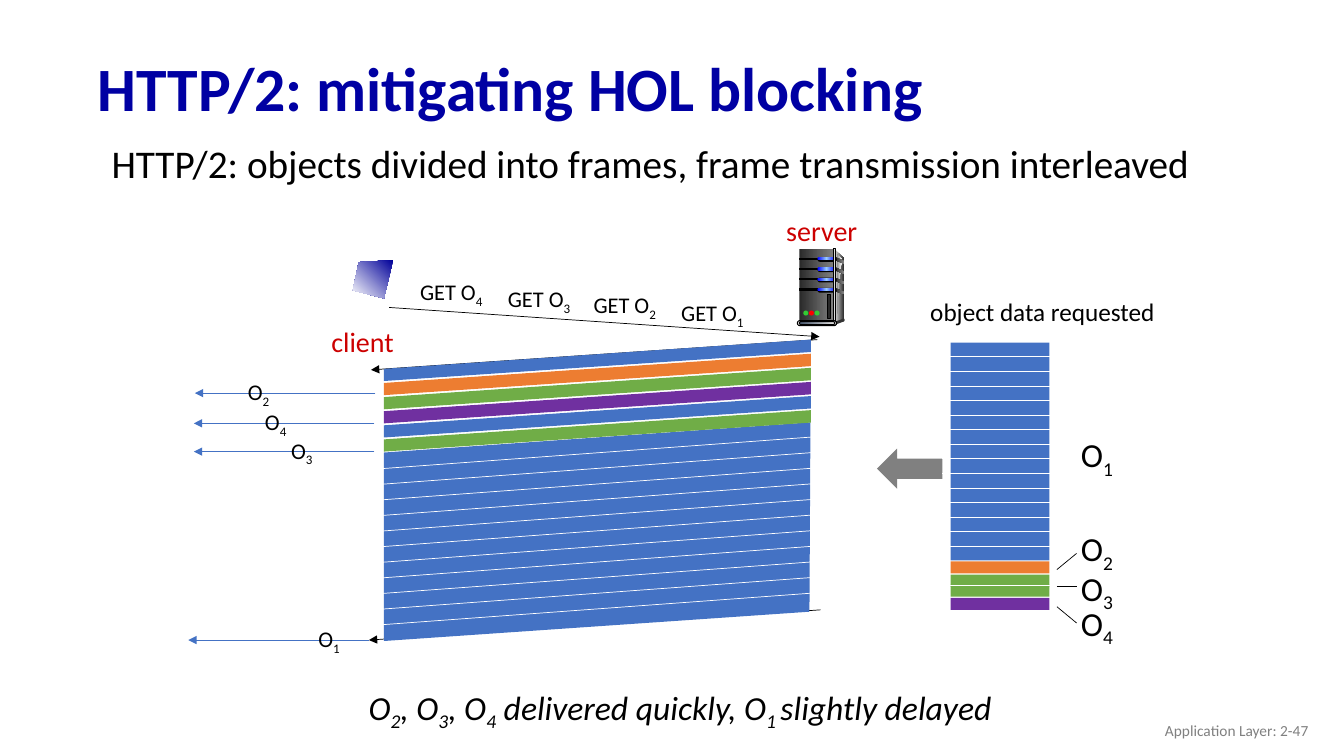
from copy import deepcopy

from lxml.etree import SubElement
from pptx import Presentation
from pptx.dml.color import RGBColor
from pptx.enum.shapes import MSO_CONNECTOR, MSO_SHAPE
from pptx.enum.text import MSO_ANCHOR, PP_ALIGN
from pptx.oxml.ns import qn
from pptx.util import Pt


class Theme:
    font = "Calibri"
    title_size, lead_size, object_size = 44, 28, 24
    role_size, heading_size, label_size, footer_size = 20, 18, 16, 11
    navy, red, black, white, gray = "0000A3", "CC0000", "000000", "FFFFFF", "808080"
    blue, orange, green, purple = "4472C4", "ED7D31", "70AD47", "7030A0"
    charcoal, iron, silver, bright = "292929", "333333", "DDDDDD", "F8F8F8"
    lamp, lamp_glow, led_green, led_red = "0000FF", "99CCFF", "33CC33", "FF0000"
    slate, pale, screen = "44546A", "E7E6E6", "000099"


deck = Presentation()
deck.slide_width, deck.slide_height = Pt(960), Pt(540)
page = deck.slides.add_slide(deck.slide_layouts[6])


def add_text(left, top, width, height, text, size, color=Theme.black,
             align=PP_ALIGN.LEFT, anchor=MSO_ANCHOR.TOP, spacing=1.0, indent=0):
    box = page.shapes.add_textbox(Pt(left), Pt(top), Pt(width), Pt(height))
    box.text_frame.word_wrap = True
    box.text_frame.vertical_anchor = anchor
    para = box.text_frame.paragraphs[0]
    para.alignment = align
    para.line_spacing = spacing
    para._p.get_or_add_pPr().set("marL", str(Pt(indent)))
    para.font.name = Theme.font
    para.font.size = Pt(size)
    para.font.color.rgb = RGBColor.from_string(color)
    for position, part in enumerate(text.split("|")):
        if part:
            span = para.add_run()
            span.text = part
            if position % 2:
                span._r.get_or_add_rPr().set("baseline", "-25000")
    return para


def add_line(start_x, start_y, end_x, end_y, color, arrow=False):
    line = page.shapes.add_connector(
        MSO_CONNECTOR.STRAIGHT, Pt(start_x), Pt(start_y), Pt(end_x), Pt(end_y))
    line.line.width = Pt(0.5)
    line.line.color.rgb = RGBColor.from_string(color)
    properties = line._element.spPr
    if arrow:
        SubElement(properties.find(qn("a:ln")), qn("a:tailEnd"), type="triangle")
    SubElement(properties, qn("a:effectLst"))


title = add_text(62.6, 30.2, 828, 70.6, "HTTP/2: mitigating HOL blocking",
                 Theme.title_size, Theme.navy, anchor=MSO_ANCHOR.MIDDLE, spacing=0.9)
title.font.bold = True
add_text(62.6, 100.1, 875.5, 39.6,
         "HTTP/2: objects divided into frames, frame transmission interleaved",
         Theme.lead_size, spacing=0.9, indent=10)

add_line(277.9, 219.6, 585.4, 240.5, Theme.black, True)
add_line(583.9, 242.6, 265, 264.2, Theme.black, True)
add_line(586.1, 435.6, 263.5, 457.2, Theme.black, True)
for start_y, end_y in [(406.8, 395.3), (419, 419), (433.4, 445)]:
    add_line(755, start_y, 769, end_y, Theme.black)

rect, pill, oval = MSO_SHAPE.RECTANGLE, MSO_SHAPE.ROUNDED_RECTANGLE, MSO_SHAPE.OVAL
outline = "outline"
dark_metal = [Theme.charcoal, Theme.gray]

pieces = [
    (outline, [(596.5, 178.6), (602.6, 184.3), (602.6, 227.5), (596.2, 229.7)],
     [Theme.silver, Theme.iron], False),
    (rect, (571, 177.8, 24.5, 51.8), dark_metal, False),
    (outline, [(597.6, 181.4), (601.2, 185), (599, 205), (597.6, 228.2)],
     [Theme.gray, Theme.bright], False),
]
for row in range(4):
    y = 183.6 + 7.35 * row
    pieces += [
        (outline, [(596.5, y), (602.6, y + 2.9), (602.6, y + 4.7), (596.5, y + 2.2)],
         dark_metal, False),
        (rect, (571, y + 0.7, 13.7, 1), [Theme.black], True),
        (pill, (583.9, y, 13.7, 3.4), [Theme.black], False),
        (pill, (583.9, y, 13, 2.4), [Theme.lamp, Theme.lamp_glow, Theme.lamp], False),
    ]
pieces += [
    (rect, (595.4, 177.8, 1.4, 51.8), [Theme.iron, Theme.silver, Theme.iron], True),
    (oval, (601.9, 227.5, 1.4, 2.2), [Theme.iron], False),
    (outline, [(596.9, 229.7), (596.9, 231.8), (602.6, 229.7), (602.6, 227.5)],
     [Theme.iron], False),
    (pill, (569.5, 229, 28.1, 3.6), [Theme.silver], True),
    (pill, (571, 229.7, 25.2, 2.2), [Theme.slate, Theme.pale], True),
    (rect, (591.1, 210.2, 2.2, 17.3), [Theme.charcoal], True),
]
for column, color in enumerate([Theme.led_green, Theme.led_red, Theme.led_green]):
    pieces.append((oval, (573.8 + 4 * column, 221.8, 3.6, 3.6), [color], False))

pieces += [
    (outline, [(280.8, 185.8), (256.3, 187.2), (252, 207.4), (274.3, 213.1)],
     [Theme.screen, Theme.white], False),
    (outline, [(578.9, 301.7), (274.3, 323.3), (274.3, 457.9), (578.2, 437)],
     [Theme.blue], False),
    (MSO_SHAPE.LEFT_ARROW, (626.4, 320.4, 46.8, 28.8), [Theme.gray], False),
]
frames = [Theme.blue, Theme.orange, Theme.green, Theme.purple, Theme.blue, Theme.green]
for order, color in enumerate(frames):
    y = 242.6 + 10.08 * order
    pieces.append((outline, [(579.2, y), (274.3, y + 20.9), (274.3, y + 29.6),
                             (579.2, y + 8.9)], [color], False))
for top, height, color in [(244.8, 155.5, Theme.blue), (401, 8.6, Theme.orange),
                           (410.4, 8.6, Theme.green), (417.6, 8.6, Theme.green),
                           (427, 8.6, Theme.purple)]:
    pieces.append((rect, (679, top, 70.6, height), [color], False))

for kind, geometry, colors, edged in pieces:
    if kind == outline:
        corners = [(Pt(x), Pt(y)) for x, y in geometry]
        builder = page.shapes.build_freeform(*corners[0], scale=1.0)
        builder.add_line_segments(corners[1:], close=True)
        shape = builder.convert_to_shape()
    else:
        shape = page.shapes.add_shape(kind, *[Pt(length) for length in geometry])
    if kind == pill:
        shape.adjustments[0] = 0.5
    shape.shadow.inherit = False
    if len(colors) == 1:
        shape.fill.solid()
        shape.fill.fore_color.rgb = RGBColor.from_string(colors[0])
    else:
        shape.fill.gradient()
        shape.fill.gradient_angle = 225 if Theme.screen in colors else 0
        stop_list = shape._element.spPr.find(".//" + qn("a:gsLst"))
        if len(colors) == 3:
            stop_list.insert(1, deepcopy(stop_list[0]))
        for position, stop in enumerate(shape.fill.gradient_stops):
            stop.position = position / (len(colors) - 1)
            stop.color.rgb = RGBColor.from_string(colors[position])
    if edged:
        shape.line.width = Pt(0.75)
        shape.line.color.rgb = RGBColor.from_string(Theme.black)
    else:
        shape.line.fill.background()

for divider in range(14):
    y = 254.9 + 10.41 * divider
    add_line(673, y, 751, y, Theme.white)
add_line(673, 418.3, 751, 418.3, Theme.white)
for divider in range(11):
    y = 334.8 + 11.15 * divider
    add_line(272, y, 585, y - 23, Theme.white)

add_text(223, 228.2, 72, 31, "client", Theme.role_size, Theme.red, PP_ALIGN.CENTER)
add_text(547, 149, 80, 31, "server", Theme.role_size, Theme.red, PP_ALIGN.CENTER)
for number, left, top in [(1, 479.5, 210.2), (2, 416.9, 204.5),
                          (3, 355.7, 200.2), (4, 293, 195.1)]:
    add_text(left, top, 70.6, 26.6, f"GET O|{number}|", Theme.label_size)
for number, start, y, left in [(2, 268.2, 280.8, 169.9), (4, 267.5, 302.4, 182.2),
                               (3, 267.5, 322.6, 200.9), (1, 263.5, 457.2, 220.3)]:
    add_line(start, y, start - 129, y, Theme.blue, True)
    add_text(left, y - 14.2, 36, 26.6, f"O|{number}|", Theme.label_size)

add_text(657.4, 208.1, 201.6, 28.8, "object data requested", Theme.heading_size)
for number, top in [(1, 306.7), (2, 373.7), (3, 401.8), (4, 427)]:
    add_text(765, top, 56.2, 55.4, f"O|{number}|", Theme.object_size)

caption = add_text(246.2, 487.4, 516.2, 39.6,
                   "O|2|, O|3|, O|4| delivered quickly, O|1 |slightly delayed",
                   Theme.object_size, spacing=0.9, indent=10)
caption.font.italic = True
add_text(725.8, 507.6, 216, 28.8, "Application Layer: 2-47", Theme.footer_size,
         Theme.gray, PP_ALIGN.RIGHT, MSO_ANCHOR.MIDDLE)

deck.save("out.pptx")
